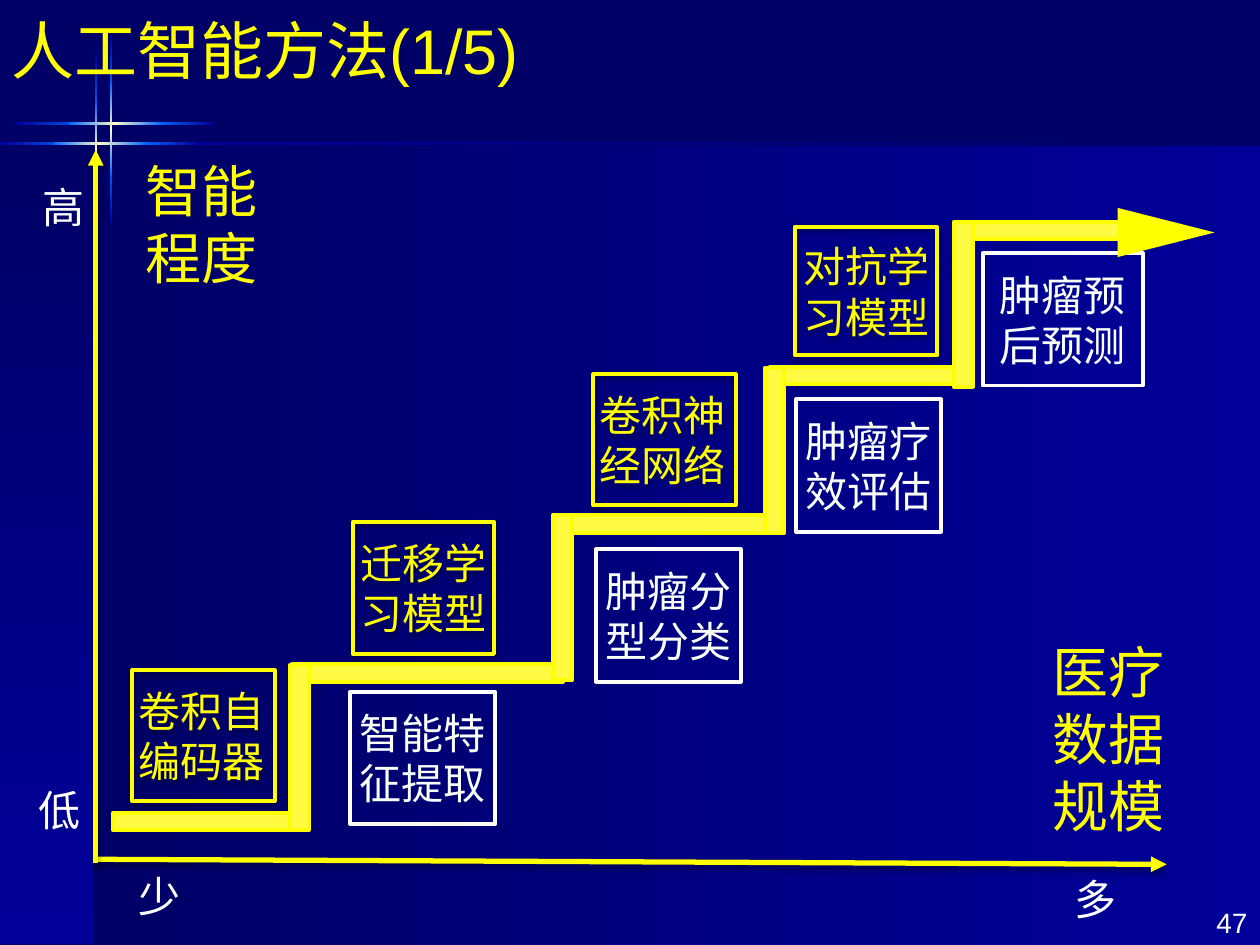
import copy
import lxml.etree
import pptx
import pptx.dml.color
import pptx.enum.dml
import pptx.enum.shapes
import pptx.enum.text
import pptx.oxml.ns
import pptx.util

Inches = pptx.util.Inches
Pt = pptx.util.Pt
RGB = pptx.dml.color.RGBColor.from_string
SHAPE = pptx.enum.shapes.MSO_SHAPE
ALIGN = pptx.enum.text.PP_ALIGN
ANCHOR = pptx.enum.text.MSO_ANCHOR
qn = pptx.oxml.ns.qn

THEME = {
    "navy": "000066", "blue": "000099", "ray": "0066FF", "glow": "FFFFCC",
    "yellow": "FFFF00", "step": "FFFB43", "white": "FFFFFF", "task": "FAFFFA",
    "latin": "Arial", "cjk": "Noto Sans CJK SC",
    "title": 36, "axis": 32, "label": 24, "number": 16,
}
FRAME = {
    "word_wrap": True, "auto_size": pptx.enum.text.MSO_AUTO_SIZE.NONE,
    "margin_left": Inches(0.05), "margin_right": Inches(0.05),
    "margin_top": Inches(0.05), "margin_bottom": Inches(0.05),
}

prs = pptx.Presentation()
prs.slide_width, prs.slide_height = Inches(10), Inches(7.5)
s = prs.slides.add_slide(prs.slide_layouts[6])
s.background.fill.solid()
s.background.fill.fore_color.rgb = RGB(THEME["navy"])


def add_box(at, fill=None, line=None, kind=SHAPE.RECTANGLE):
    sp = s.shapes.add_shape(kind, *map(Inches, at))
    sp.shadow.inherit = False
    if fill:
        sp.fill.solid()
        sp.fill.fore_color.rgb = RGB(THEME[fill])
    else:
        sp.fill.background()
    if line:
        sp.line.color.rgb = RGB(THEME[line])
        sp.line.width = Pt(2.25)
    else:
        sp.line.fill.background()
    return sp


def write(sp, text, size, color, align=ALIGN.CENTER, anchor=ANCHOR.TOP, font="cjk"):
    tf = sp.text_frame
    for name, value in FRAME.items():
        setattr(tf, name, value)
    tf.vertical_anchor = anchor
    tf.text = text
    style = {"size": Pt(THEME[size]), "name": THEME[font]}
    for p in tf.paragraphs:
        p.alignment = align
        for r in p.runs:
            for name, value in style.items():
                setattr(r.font, name, value)
            r.font.color.rgb = RGB(THEME[color])
            ea = lxml.etree.SubElement(r.font._element, qn("a:ea"))
            ea.set("typeface", THEME["cjk"])


bands = [
    ((0.75, 1.16, 9.25, 6.34), ("navy", "blue"), 0),
    ((0, 1.15, 0.75, 6.34), ("navy", "blue"), 270),
    ((0.75, 0.02, 0.02, 1.21), ("navy", "blue"), 270),
    ((0.75, 1.94, 0.02, 4.68), ("blue", "navy"), 270),
    ((1.53, 1.13, 8.23, 0.02), ("blue", "navy"), 0),
]
for dx, dy in ((0, 0), (0.12, -0.16)):
    for start, length, colors in (
        (1.14, 0.44, ("ray", "blue")),
        (0, 0.61, ("blue", "ray")),
        (0.43, 0.73, ("ray", "glow", "ray")),
    ):
        bands.append(((start + dx, 1.13 + dy, length, 0.02), colors, 0))
    for start, length, colors in (
        (1.5, 0.44, ("ray", "blue")),
        (0.44, 0.44, ("blue", "ray")),
        (0.82, 0.73, ("ray", "glow", "ray")),
    ):
        bands.append(((0.75 + dx, start + dy, 0.02, length), colors, 270))

for at, colors, angle in bands:
    sp = add_box(at)
    sp.fill.gradient()
    sp.fill.gradient_angle = angle
    stops = sp._element.spPr.find(qn("a:gradFill")).find(qn("a:gsLst"))
    if len(colors) == 3:
        stops.insert(1, copy.deepcopy(stops[0]))
    for i, (stop, color) in enumerate(zip(sp.fill.gradient_stops, colors)):
        stop.position = i / (len(colors) - 1)
        stop.color.rgb = RGB(THEME[color])

for at, text, size, color, align, font in (
    ((9.02, 7.14, 0.93, 0.37), "47", "number", "white", ALIGN.RIGHT, "latin"),
    ((0.04, 0.04, 9.69, 0.71), "人工智能方法(1/5)", "title", "yellow", ALIGN.LEFT, "latin"),
    ((8.23, 5.01, 1.13, 1.97), "医疗\n数据\n规模", "axis", "yellow", ALIGN.CENTER, "cjk"),
    ((0.9, 1.19, 1.4, 1.35), "智能程度", "axis", "yellow", ALIGN.CENTER, "cjk"),
    ((0.91, 6.86, 0.72, 0.56), "少", "label", "white", ALIGN.CENTER, "cjk"),
    ((7.91, 6.88, 1.57, 0.56), "多", "label", "white", ALIGN.CENTER, "cjk"),
    ((0.12, 6.18, 0.71, 0.56), "低", "label", "white", ALIGN.CENTER, "cjk"),
    ((0.15, 1.39, 0.71, 0.56), "高", "label", "white", ALIGN.CENTER, "cjk"),
):
    write(s.shapes.add_textbox(*map(Inches, at)), text, size, color, align, font=font)

effects = []
for at, text, align in (
    ((1.05, 5.32, 1.13, 1.04), "卷积自编码器", ALIGN.LEFT),
    ((2.8, 4.14, 1.12, 1.05), "迁移学习模型", ALIGN.CENTER),
    ((4.71, 2.97, 1.13, 1.04), "卷积神经网络", ALIGN.LEFT),
    ((6.31, 1.8, 1.13, 1.02), "对抗学习模型", ALIGN.CENTER),
):
    sp = add_box(at, line="yellow")
    write(sp, text, "label", "yellow", align, ANCHOR.MIDDLE)
    effects.append(sp._element.spPr.find(qn("a:effectLst")))

for left, top, width in (
    (0.9, 6.45, 1.54), (2.32, 5.27, 2.15), (4.39, 4.09, 1.83),
    (6.11, 2.91, 1.49), (7.68, 1.76, 1.33),
):
    add_box((left, top, width, 0.14), "step", "yellow")
for left, top in ((2.3, 5.28), (4.39, 4.09), (6.07, 2.92), (7.57, 1.76)):
    add_box((left, top, 0.15, 1.31), "step", "yellow")

for left, top, width, text in (
    (2.78, 5.49, 1.15, "智能特征提取"),
    (4.73, 4.36, 1.15, "肿瘤分型分类"),
    (6.32, 3.17, 1.15, "肿瘤疗效评估"),
    (7.8, 2.01, 1.27, "肿瘤预后预测"),
):
    sp = add_box((left, top, width, 1.05), line="white")
    write(sp, text, "label", "task", anchor=ANCHOR.MIDDLE)

sp = add_box((9.06, 1.46, 0.39, 0.77), "yellow", kind=SHAPE.ISOSCELES_TRIANGLE)
sp.rotation = 90

for ends in ((0.76, 6.82, 9.26, 6.86), (0.76, 6.85, 0.76, 1.19)):
    axis = s.shapes.add_connector(pptx.enum.shapes.MSO_CONNECTOR.STRAIGHT, *map(Inches, ends))
    axis.line.color.rgb = RGB(THEME["yellow"])
    axis.line.width = Pt(3)
    spPr = axis._element.spPr
    lxml.etree.SubElement(spPr.find(qn("a:ln")), qn("a:tailEnd")).set("type", "triangle")
    effects.append(lxml.etree.SubElement(spPr, qn("a:effectLst")))

for effect in effects:
    shadow = lxml.etree.SubElement(effect, qn("a:outerShdw"))
    for name, value in {"blurRad": Pt(3), "dist": Pt(1.8), "dir": 5400000, "rotWithShape": 0}.items():
        shadow.set(name, str(int(value)))
    color = lxml.etree.SubElement(shadow, qn("a:srgbClr"))
    color.set("val", "000000")
    lxml.etree.SubElement(color, qn("a:alpha")).set("val", "35000")

prs.save("out.pptx")
